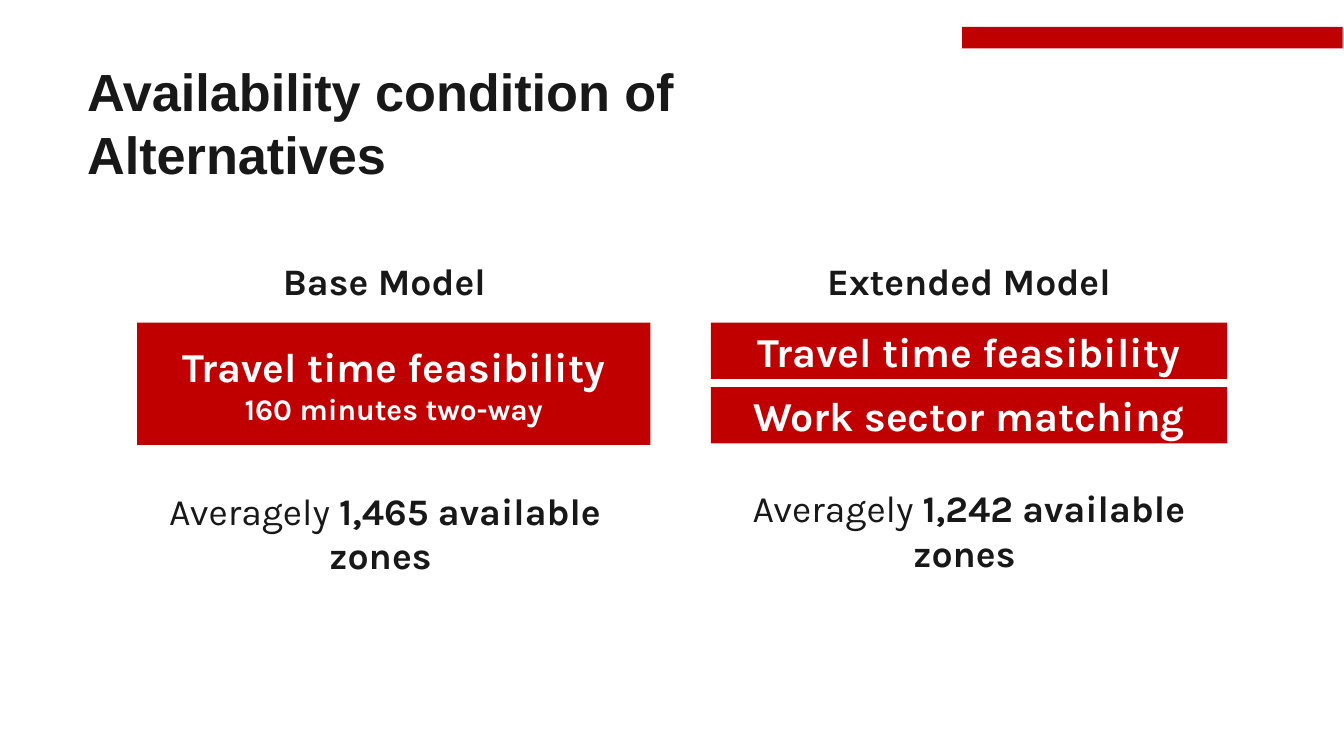
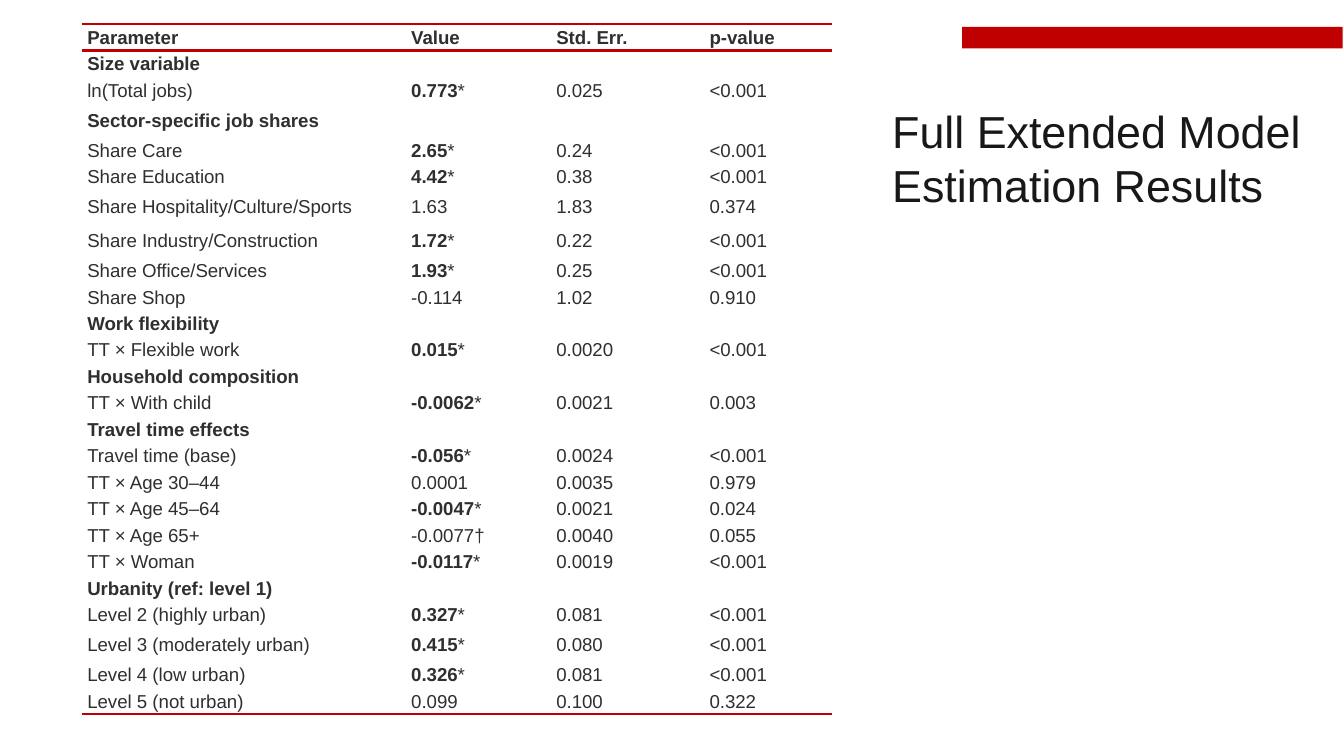
from dataclasses import dataclass

import lxml.etree
import pptx
import pptx.dml.color
import pptx.enum.shapes
import pptx.enum.text
import pptx.oxml.ns
import pptx.presentation
import pptx.slide
import pptx.table
import pptx.text.text
import pptx.util

Inches = pptx.util.Inches
ALIGN = pptx.enum.text.PP_ALIGN
ANCHOR = pptx.enum.text.MSO_ANCHOR


# ---- Theme ----
@dataclass(frozen=True)
class Theme:
    red: str = "C00000"
    ink: str = "181818"
    table_ink: str = "2F2F2F"
    white: str = "FFFFFF"
    title_font: str = "Arial"
    body_font: str = "Karla"
    title_size: float = 28
    side_title_size: float = 24
    condition_size: float = 22
    body_size: float = 20
    detail_size: float = 16
    table_size: float = 10
    rule_width: float = 1.5


THEME = Theme()
SLIDE_WIDTH = 10
SLIDE_HEIGHT = SLIDE_WIDTH * 9 / 16


@dataclass(frozen=True)
class Box:
    left: float
    top: float
    width: float
    height: float

    def lengths(self) -> tuple[int, ...]:
        return tuple(Inches(v) for v in (self.left, self.top, self.width, self.height))


@dataclass(frozen=True)
class Span:
    text: str
    size: float
    color: str = THEME.ink
    bold: bool = False
    font: str = THEME.body_font


# ---- Shared drawing ----
def rgb(color: str) -> pptx.dml.color.RGBColor:
    return pptx.dml.color.RGBColor.from_string(color)


def write_spans(paragraph: pptx.text.text._Paragraph, spans: list[Span],
                align: ALIGN = ALIGN.LEFT) -> None:
    paragraph.alignment = align
    for span in spans:
        run = paragraph.add_run()
        run.text = span.text
        run.font.size = pptx.util.Pt(span.size)
        run.font.name = span.font
        run.font.bold = span.bold
        run.font.color.rgb = rgb(span.color)


def write_lines(frame: pptx.text.text.TextFrame, lines: list[list[Span]],
                align: ALIGN = ALIGN.CENTER) -> None:
    frame.word_wrap = True
    for number, spans in enumerate(lines):
        paragraph = frame.add_paragraph() if number else frame.paragraphs[0]
        write_spans(paragraph, spans, align)


def add_band(slide: pptx.slide.Slide, box: Box, lines: list[list[Span]]) -> None:
    band = slide.shapes.add_shape(pptx.enum.shapes.MSO_SHAPE.RECTANGLE, *box.lengths())
    band.shadow.inherit = False
    band.fill.solid()
    band.fill.fore_color.rgb = rgb(THEME.red)
    band.line.fill.background()
    band.text_frame.vertical_anchor = ANCHOR.MIDDLE
    write_lines(band.text_frame, lines)


def add_caption(slide: pptx.slide.Slide, box: Box, spans: list[Span]) -> None:
    caption = slide.shapes.add_textbox(*box.lengths())
    write_lines(caption.text_frame, [spans])


def add_titled_slide(deck: pptx.presentation.Presentation, box: Box,
                     title: Span) -> pptx.slide.Slide:
    slide = deck.slides.add_slide(deck.slide_layouts[6])
    add_band(slide, Box(7.16, 0.2, 2.83, 0.16), [])
    frame = slide.shapes.add_textbox(*box.lengths()).text_frame
    frame.margin_left = frame.margin_right = Inches(0.1)
    frame.margin_top = frame.margin_bottom = Inches(0.1)
    frame.vertical_anchor = ANCHOR.MIDDLE
    write_lines(frame, [[title]], ALIGN.LEFT)
    return slide


# ---- Slide 1: availability conditions ----
@dataclass(frozen=True)
class Model:
    name: str
    name_left: float
    conditions: tuple[tuple[str, ...], ...]  # each: headline, then optional detail
    bands: Box
    zones: str
    zones_box: Box


MODELS = [
    Model("Base Model", 1.05, (("Travel time feasibility", "160 minutes two-way"),),
          Box(1.02, 2.4, 3.82, 0.91), "1,465", Box(0.99, 3.58, 3.75, 1.01)),
    Model("Extended Model", 5.4, (("Travel time feasibility",), ("Work sector matching",)),
          Box(5.29, 2.4, 3.84, 0.9), "1,242", Box(5.4, 3.56, 3.62, 0.77)),
]
BAND_GAP = 0.06


def add_model(slide: pptx.slide.Slide, model: Model) -> None:
    add_caption(slide, Box(model.name_left, 1.87, 3.62, 0.44),
                [Span(model.name, THEME.body_size, bold=True)])
    area, count = model.bands, len(model.conditions)
    height = (area.height - BAND_GAP * (count - 1)) / count
    sizes = (THEME.condition_size, THEME.detail_size)
    for number, condition in enumerate(model.conditions):
        top = area.top + number * (height + BAND_GAP)
        lines = [[Span(text, size, THEME.white, True)]
                 for text, size in zip(condition, sizes)]
        add_band(slide, Box(area.left, top, area.width, height), lines)
    add_caption(slide, model.zones_box,
                [Span("Averagely ", THEME.body_size),
                 Span(f"{model.zones} available zones ", THEME.body_size, bold=True)])


# ---- Slide 2: estimation results ----
HEADINGS = ("Parameter", "Value", "Std. Err.", "p-value")
RESULTS = [
    ("Size variable",),
    ("ln(Total jobs)", "0.773*", "0.025", "<0.001"),
    ("Sector-specific job shares",),
    ("Share Care", "2.65*", "0.24", "<0.001"),
    ("Share Education", "4.42*", "0.38", "<0.001"),
    ("Share Hospitality/Culture/Sports", "1.63", "1.83", "0.374"),
    ("Share Industry/Construction", "1.72*", "0.22", "<0.001"),
    ("Share Office/Services", "1.93*", "0.25", "<0.001"),
    ("Share Shop", "-0.114", "1.02", "0.910"),
    ("Work flexibility",),
    ("TT × Flexible work", "0.015*", "0.0020", "<0.001"),
    ("Household composition",),
    ("TT × With child", "-0.0062*", "0.0021", "0.003"),
    ("Travel time effects",),
    ("Travel time (base)", "-0.056*", "0.0024", "<0.001"),
    ("TT × Age 30–44", "0.0001", "0.0035", "0.979"),
    ("TT × Age 45–64", "-0.0047*", "0.0021", "0.024"),
    ("TT × Age 65+", "-0.0077†", "0.0040", "0.055"),
    ("TT × Woman", "-0.0117*", "0.0019", "<0.001"),
    ("Urbanity (ref: level 1)",),
    ("Level 2 (highly urban)", "0.327*", "0.081", "<0.001"),
    ("Level 3 (moderately urban)", "0.415*", "0.080", "<0.001"),
    ("Level 4 (low urban)", "0.326*", "0.081", "<0.001"),
    ("Level 5 (not urban)", "0.099", "0.100", "0.322"),
]
COLUMN_WIDTHS = (2.41, 1.08, 1.14, 0.95)
TABLE_BOX = Box(0.61, 0.18, sum(COLUMN_WIDTHS), 5.14)
TALL_ROWS = (3, 6, 7, 22)
TALL_HEIGHT = 0.25


def set_borders(cell: pptx.table._Cell, ruled_sides: set[str]) -> None:
    qn = pptx.oxml.ns.qn
    properties = cell._tc.get_or_add_tcPr()
    for position, side in enumerate(("lnL", "lnR", "lnT", "lnB")):
        border = lxml.etree.Element(qn(f"a:{side}"))
        if side in ruled_sides:
            border.set("w", str(pptx.util.Pt(THEME.rule_width)))
            fill = lxml.etree.SubElement(border, qn("a:solidFill"))
            lxml.etree.SubElement(fill, qn("a:srgbClr"), val=THEME.red)
        else:
            lxml.etree.SubElement(border, qn("a:noFill"))
        properties.insert(position, border)


def fill_cell(cell: pptx.table._Cell, text: str, bold: bool) -> None:
    cell.margin_left = cell.margin_right = Inches(0.04)
    cell.margin_top, cell.margin_bottom = Inches(0.02), Inches(0.01)
    cell.vertical_anchor = ANCHOR.MIDDLE
    cell.fill.background()
    paragraph = cell.text_frame.paragraphs[0]
    # Significant estimates are bold, their star is not
    parts = [(text[:-1], True), ("*", False)] if text.endswith("*") else [(text, bold)]
    write_spans(paragraph, [Span(part, THEME.table_size, THEME.table_ink, strong,
                                 THEME.title_font) for part, strong in parts if part])
    # Keeps empty cells from stretching their row
    lxml.etree.SubElement(paragraph._p, pptx.oxml.ns.qn("a:endParaRPr"),
                          sz=str(int(THEME.table_size * 100)))


def add_results(slide: pptx.slide.Slide) -> None:
    rows = [HEADINGS, *RESULTS]
    table = slide.shapes.add_table(len(rows), len(HEADINGS), *TABLE_BOX.lengths()).table
    table.first_row = table.horz_banding = False
    for column, width in zip(table.columns, COLUMN_WIDTHS):
        column.width = Inches(width)
    tall_total = TALL_HEIGHT * len(TALL_ROWS)
    row_height = (TABLE_BOX.height - tall_total) / (len(rows) - len(TALL_ROWS))
    last = len(rows) - 1
    for r, texts in enumerate(rows):
        table.rows[r].height = Inches(TALL_HEIGHT if r in TALL_ROWS else row_height)
        bold = r == 0 or len(texts) == 1
        ruled = {side for side, at in (("lnT", (0, 1)), ("lnB", (0, last))) if r in at}
        for c in range(len(HEADINGS)):
            cell = table.cell(r, c)
            fill_cell(cell, texts[c] if c < len(texts) else "", bold)
            set_borders(cell, ruled)


def main() -> None:
    deck = pptx.Presentation()
    deck.slide_width, deck.slide_height = Inches(SLIDE_WIDTH), Inches(SLIDE_HEIGHT)

    availability = add_titled_slide(
        deck, Box(0.55, 0.59, 4.95, 0.64),
        Span("Availability condition of Alternatives", THEME.title_size,
             bold=True, font=THEME.title_font))
    for model in MODELS:
        add_model(availability, model)

    estimation = add_titled_slide(
        deck, Box(6.54, 0.86, 3.75, 0.63),
        Span("Full Extended Model Estimation Results", THEME.side_title_size,
             font=THEME.title_font))
    add_results(estimation)

    deck.save("out.pptx")


if __name__ == "__main__":
    main()
